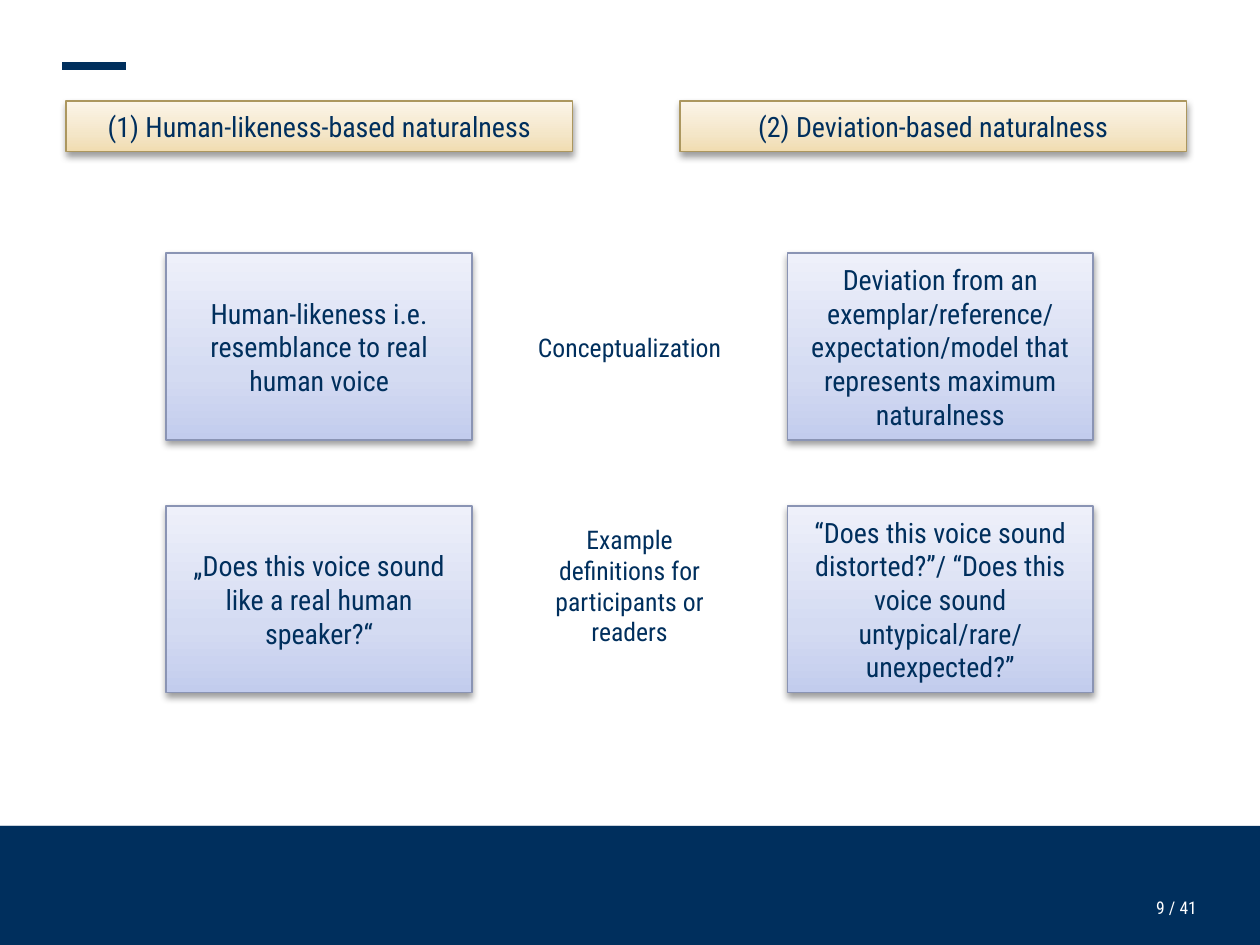
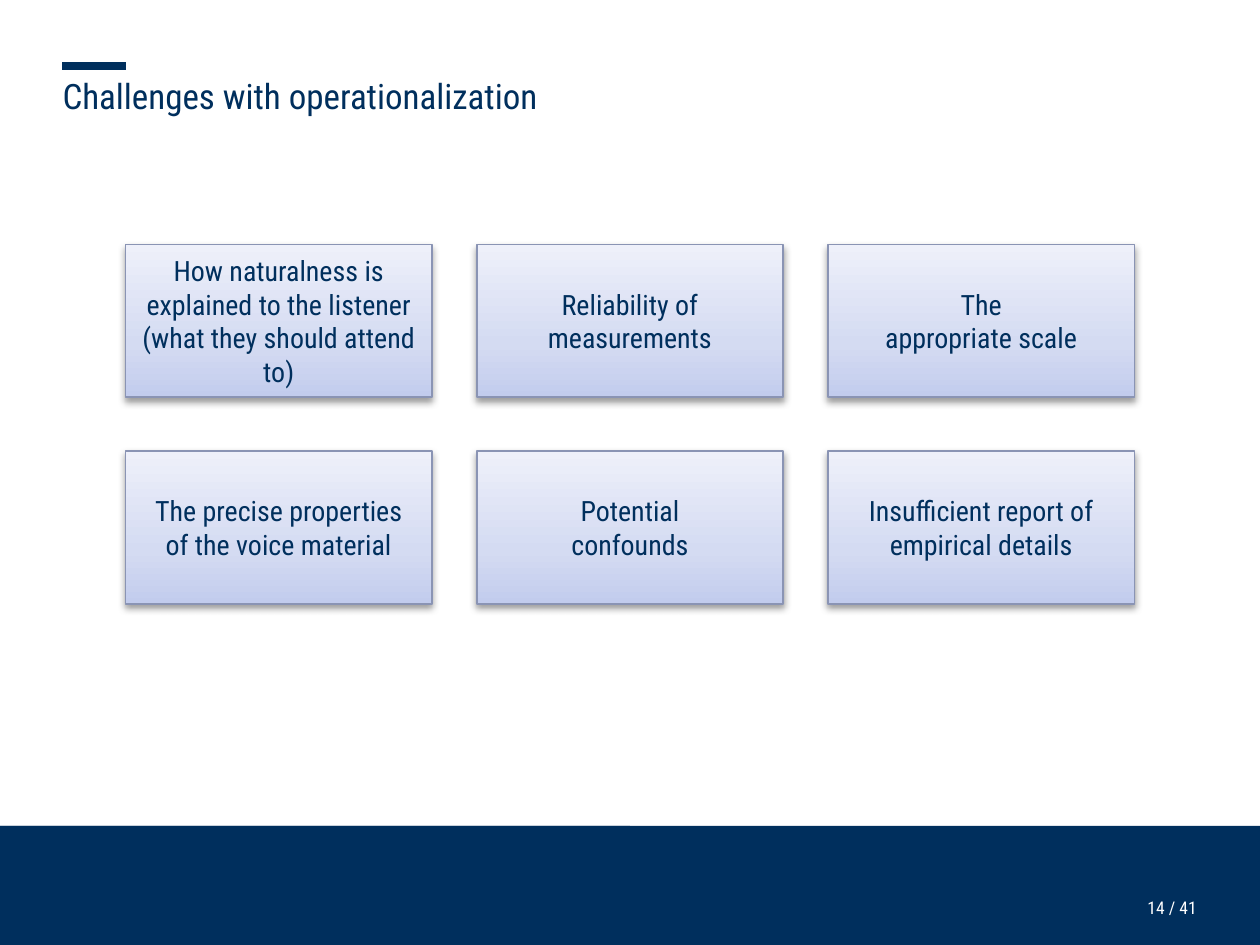
"""Build two slides about naturalness of voices."""
from collections import namedtuple
from copy import deepcopy

from lxml import etree
from pptx import Presentation
from pptx import util as u
from pptx.dml.color import RGBColor
from pptx.enum import shapes, text
from pptx.oxml.ns import qn

Box = namedtuple("Box", "left top width height")

COLOURS = {"navy": "002F5D", "white": "FFFFFF", "gold_line": "AC975F", "blue_line": "8A94B4"}
GRADIENTS = {
    "gold": [(0, "F1DCB0"), (0.35, "F4E6C8"), (1, "FCF5E9")],
    "blue": [(0, "C2CCED"), (0.35, "D4DBF2"), (1, "EEF0FA")],
}
FONT = "Roboto Condensed"
PAGE = Box(0, 0, 540, 405)
TOTAL = 41
MIDDLE, TOP = text.MSO_ANCHOR.MIDDLE, text.MSO_ANCHOR.TOP
CENTER, LEFT, RIGHT = text.PP_ALIGN.CENTER, text.PP_ALIGN.LEFT, text.PP_ALIGN.RIGHT


def colour(name):
    """Return the named colour."""
    return RGBColor.from_string(COLOURS[name])


def set_all(target, values):
    """Set each attribute of the target from a dict."""
    for name, value in values.items():
        setattr(target, name, value)


def points(box):
    """Convert a box to lengths in points."""
    return [u.Pt(length) for length in box]


def write(shape, words, size, tone="navy", align=CENTER, anchor=MIDDLE, wrap=True, inset=None):
    """Put formatted text into a shape, one paragraph a line."""
    frame = shape.text_frame
    frame.text = words
    set_all(frame, {"word_wrap": wrap, "vertical_anchor": anchor, "auto_size": text.MSO_AUTO_SIZE.NONE})
    if inset is not None:
        sides = ("left", "top", "right", "bottom")
        set_all(frame, {f"margin_{side}": u.Pt(inset) for side in sides})
    for paragraph in frame.paragraphs:
        paragraph.alignment = align
        set_all(paragraph.font, {"name": FONT, "size": u.Pt(size)})
        paragraph.font.color.rgb = colour(tone)


def add_band(slide, box):
    """Add a plain navy rectangle."""
    band = slide.shapes.add_shape(shapes.MSO_SHAPE.RECTANGLE, *points(box))
    band.fill.solid()
    band.fill.fore_color.rgb = colour("navy")
    band.line.fill.background()
    band.shadow.inherit = False
    return band


def add_card(slide, box, words, tone):
    """Add a gradient card with a soft shadow."""
    card = slide.shapes.add_shape(shapes.MSO_SHAPE.RECTANGLE, *points(box))
    card.fill.gradient()
    card.fill.gradient_angle = 90
    properties = card._element.spPr
    stop_list = properties.find(qn("a:gradFill")).find(qn("a:gsLst"))
    stop_list.insert(1, deepcopy(stop_list[0]))
    for stop, (position, shade) in zip(card.fill.gradient_stops, GRADIENTS[tone]):
        stop.color.rgb = RGBColor.from_string(shade)
        stop.position = position
    card.line.color.rgb = colour(f"{tone}_line")
    card.line.width = u.Pt(0.75)
    card.shadow.inherit = False
    shadow = etree.SubElement(
        properties.find(qn("a:effectLst")), qn("a:outerShdw"),
        blurRad=str(u.Pt(3.1)), dist=str(u.Pt(1.6)), dir="5400000", rotWithShape="0")
    black = etree.SubElement(shadow, qn("a:srgbClr"), val="000000")
    etree.SubElement(black, qn("a:alpha"), val="38000")
    write(card, words, 12)


def add_frame(slide, page, number):
    """Add the accent dash, the footer band and the page number."""
    footer_top = page.top + page.height - 51
    add_band(slide, Box(page.left, footer_top, page.width, 51))
    strip = add_band(slide, Box(page.left, footer_top, page.width / 2, 3))
    shade = strip._element.spPr.find(qn("a:solidFill"))[0]
    etree.SubElement(shade, qn("a:alpha"), val="80000")
    label = slide.shapes.add_textbox(*points(Box(page.left + 208, footer_top + 30.5, 305, 12)))
    write(label, f"{number} / {TOTAL}", 7.5, "white", RIGHT, TOP, inset=0)
    left, middle = page.left + 26.6, page.top + 28.2
    dash = slide.shapes.add_connector(
        shapes.MSO_CONNECTOR.STRAIGHT, *points((left, middle, left + 27.4, middle)))
    dash.line.color.rgb = colour("navy")
    dash.line.width = u.Pt(3.5)
    etree.SubElement(dash._element.spPr, qn("a:effectLst"))


def add_title(slide, box, words):
    """Move and format the title placeholder."""
    title = slide.shapes.title
    set_all(title, dict(zip(box._fields, points(box))))
    write(title, words, 15, align=LEFT, anchor=TOP, inset=0)


def add_comparison(slide, box, headings, rows):
    """Add two headed columns of cards with captions between them."""
    for index, heading in enumerate(headings):
        add_card(slide, Box(box.left + index * 263.1, box.top, 217, 21.7), heading, "gold")
    for index, (left_words, caption, lines, right_words) in enumerate(rows):
        top = box.top + 65.3 + index * 108.3
        for offset, words in ((42.9, left_words), (309.1, right_words)):
            add_card(slide, Box(box.left + offset, top, 131, 80), words, "blue")
        label = slide.shapes.add_textbox(
            *points(Box(box.left + 194.5, top + 40 - index * 6 - 30, 94, 60)))
        write(label, caption, 11, wrap=lines > 1)


def add_card_grid(slide, box, columns, gaps, card_texts):
    """Fill the box with an even grid of blue cards."""
    rows = len(card_texts) // columns
    width = (box.width - gaps[0] * (columns - 1)) / columns
    height = (box.height - gaps[1] * (rows - 1)) / rows
    for index, words in enumerate(card_texts):
        row, column = divmod(index, columns)
        left = box.left + column * (width + gaps[0])
        top = box.top + row * (height + gaps[1])
        add_card(slide, Box(left, top, width, height), words, "blue")


def main():
    """Build and save the presentation."""
    presentation = Presentation()
    set_all(presentation, {"slide_width": u.Pt(PAGE.width), "slide_height": u.Pt(PAGE.height)})
    title_only, blank = presentation.slide_layouts[5], presentation.slide_layouts[6]

    slide = presentation.slides.add_slide(blank)
    add_frame(slide, PAGE, 9)
    add_comparison(
        slide, Box(28.4, 43.3, 480.1, 254),
        ["(1) Human-likeness-based naturalness", "(2) Deviation-based naturalness"],
        [("Human-likeness i.e. resemblance to real human voice", "Conceptualization", 1,
          "Deviation from an exemplar/reference/ expectation/model that "
          "represents maximum naturalness"),
         ("„Does this voice sound like a real human speaker?“",
          "Example definitions for participants or readers", 4,
          "“Does this voice sound distorted?”/ “Does this voice sound untypical/rare/\n"
          "unexpected?”")])

    slide = presentation.slides.add_slide(title_only)
    add_frame(slide, PAGE, 14)
    add_title(slide, Box(26.8, 31.8, 478, 21.6), "Challenges with operationalization")
    add_card_grid(
        slide, Box(53.8, 104.8, 432.4, 154), 3, (19.2, 23),
        ["How naturalness is explained to the listener (what they should attend to)",
         "Reliability of measurements",
         "The\nappropriate scale",
         "The precise properties of the voice material",
         "Potential\nconfounds",
         "Insufficient report of empirical details"])

    presentation.save("out.pptx")


if __name__ == "__main__":
    main()
